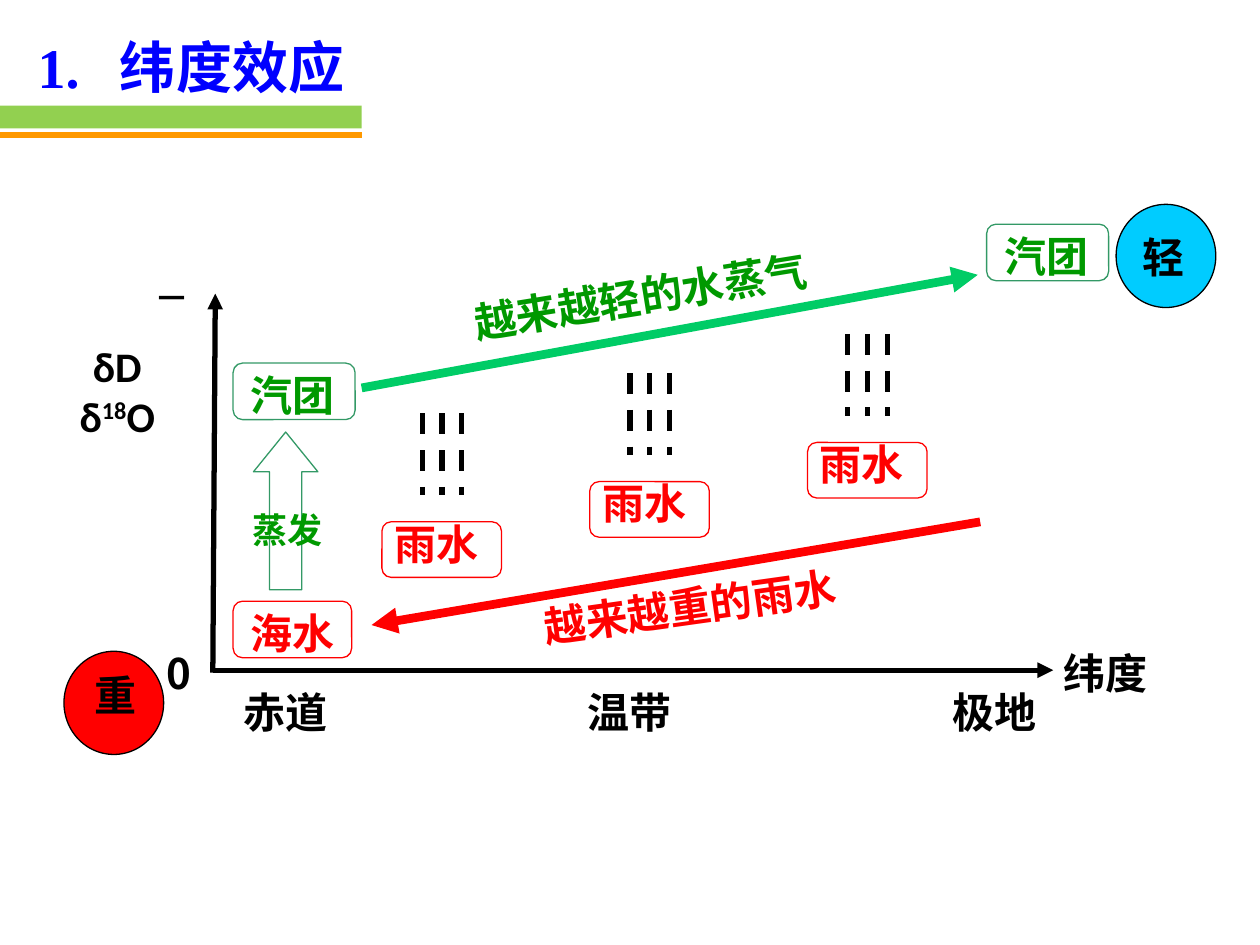
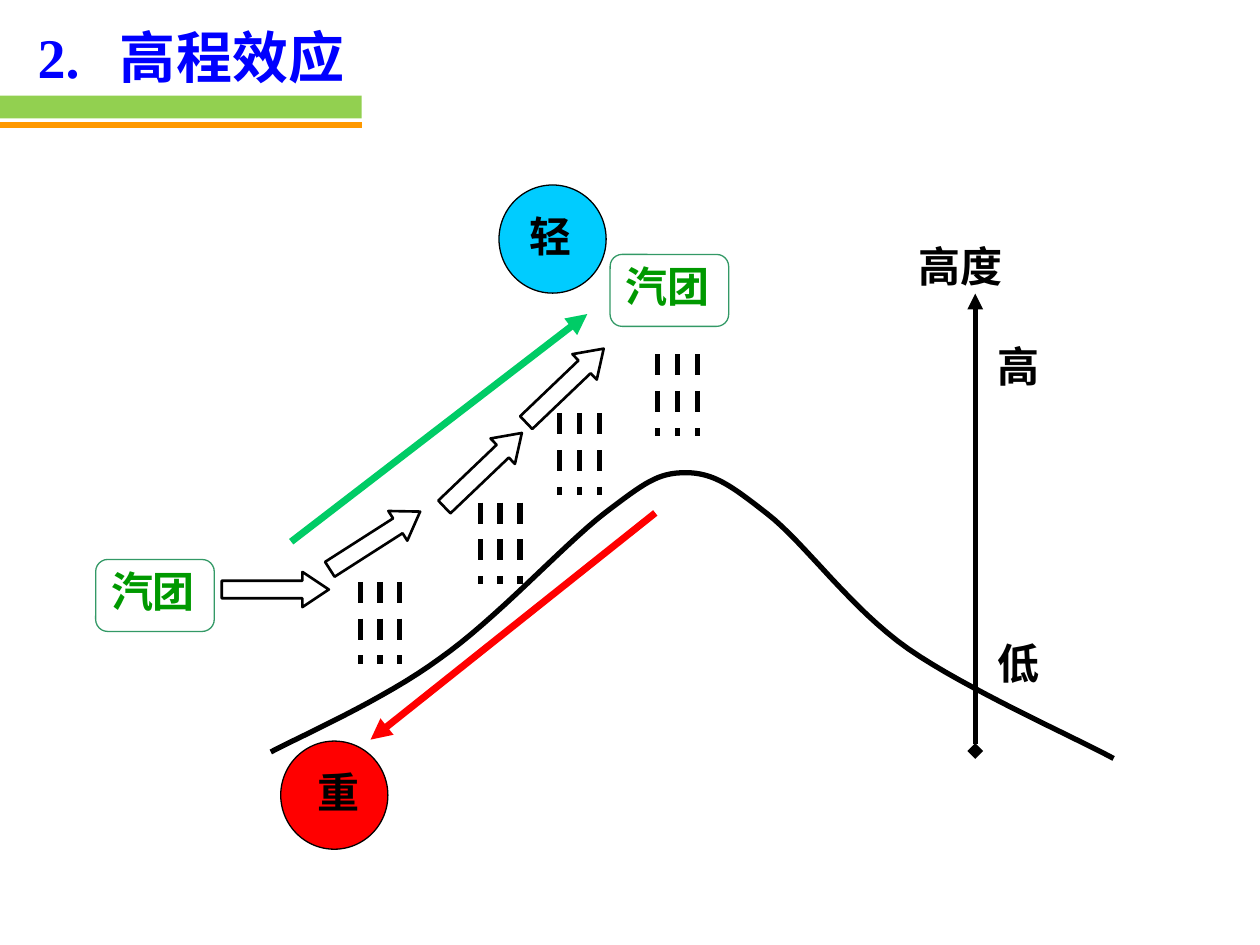
from dataclasses import dataclass

from lxml.etree import SubElement
from pptx import Presentation
from pptx.dml.color import RGBColor
from pptx.enum.dml import MSO_LINE
from pptx.enum.shapes import MSO_CONNECTOR, MSO_SHAPE
from pptx.enum.text import PP_ALIGN
from pptx.oxml.ns import qn
from pptx.util import Cm, Pt


@dataclass(frozen=True)
class Theme:
    black: str = "000000"
    blue: str = "0000FF"
    red: str = "FF0000"
    sky: str = "00CCFF"
    leaf: str = "009900"
    edge: str = "339966"
    flow: str = "00CC66"
    band: str = "92D050"
    rule: str = "FF9900"
    serif: str = "Times New Roman"
    latin: str = "Calibri"
    sans: str = "Noto Sans CJK JP"
    hans: str = "Noto Sans CJK SC"
    head: int = 32
    sign: int = 28
    body: int = 24
    small: int = 20


T = Theme()
LINE = 1.27  # height of a one-line label
LEFT, MID = PP_ALIGN.LEFT, PP_ALIGN.CENTER


@dataclass(frozen=True)
class Box:
    """A region of a slide, in centimetres."""
    slide: object
    x: float
    y: float
    w: float
    h: float

    def spot(self, x, y):
        return Cm(self.x + x), Cm(self.y + y)

    def frame(self, x, y, w, h):
        return *self.spot(x, y), Cm(w), Cm(h)


def style(run, color, size, face):
    font = run.font
    font.name, font.size, font.bold = face, Pt(size), True
    font.color.rgb = RGBColor.from_string(color)
    asian = face if face in (T.sans, T.hans) else T.sans
    SubElement(run._r.get_or_add_rPr(), qn("a:ea")).set("typeface", asian)


def label(box, words, x, y, w, h=LINE, color=T.black, size=T.body,
          face=T.sans, align=MID, turn=0, inset=0.25):
    shape = box.slide.shapes.add_textbox(*box.frame(x, y, w, h))
    shape.rotation = turn
    frame = shape.text_frame
    frame.word_wrap = True
    frame.margin_left = frame.margin_right = Cm(inset)
    frame.text = words
    para = frame.paragraphs[0]
    para.alignment = align
    for run in para.runs:
        style(run, color, size, face)
    return para


def form(box, kind, x, y, w, h, fill=None, edge=None, width=0.75):
    shape = box.slide.shapes.add_shape(kind, *box.frame(x, y, w, h))
    paint(shape, fill, edge, width)
    return shape


def paint(shape, fill, edge, width):
    shape.shadow.inherit = False
    if fill:
        shape.fill.solid()
        shape.fill.fore_color.rgb = RGBColor.from_string(fill)
    else:
        shape.fill.background()
    if edge:
        shape.line.color.rgb = RGBColor.from_string(edge)
        shape.line.width = Pt(width)
    else:
        shape.line.fill.background()


def line(box, start, end, color=T.black, width=3, dash=False, head=None, tail=None):
    """Draw a straight line; head marks its start and tail its end."""
    link = box.slide.shapes.add_connector(
        MSO_CONNECTOR.STRAIGHT, *box.spot(*start), *box.spot(*end))
    link.line.color.rgb = RGBColor.from_string(color)
    link.line.width = Pt(width)
    if dash:
        link.line.dash_style = MSO_LINE.DASH
    props = link._element.spPr
    for tag, mark in (("a:headEnd", head), ("a:tailEnd", tail)):
        if mark:
            SubElement(props.find(qn("a:ln")), qn(tag)).set("type", mark)
    SubElement(props, qn("a:effectLst"))


def arrow(box, start, end, color=T.black, width=3, head=None):
    line(box, start, end, color, width, head=head, tail="triangle")


def ball(box, word, fill, x, y, w, h, dx, dy):
    form(box, MSO_SHAPE.OVAL, x, y, w, h, fill, T.black)
    label(box, word, x + dx, y + dy, 1.6)


def tag(box, word, x, y, w, h, edge, dx, dy, wide, **look):
    """Draw a rounded frame whose label is shifted by dx and dy."""
    label(box, word, x + dx, y + dy, wide, **look)
    form(box, MSO_SHAPE.ROUNDED_RECTANGLE, x, y, w, h, edge=edge)


def rain(box, x, y):
    for step in range(3):
        left = x + 0.4 * step
        line(box, (left, y), (left, y + 1.65), dash=True)


def header(box, number, title):
    para = label(box, f"{number}.\t{title}", 0.51, 0, 8.61, box.h,
                 T.blue, T.head, T.serif, LEFT)
    tabs = SubElement(para._p.get_or_add_pPr(), qn("a:tabLst"))
    stop = SubElement(tabs, qn("a:tab"))
    stop.set("pos", str(Cm(1.66)))
    stop.set("algn", "l")
    form(box, MSO_SHAPE.RECTANGLE, 0, box.h, box.w, 0.46, T.band)
    rule = box.h + 0.59
    line(box, (0, rule), (box.w, rule), T.rule)


def axes(box):
    arrow(box, (0, box.h), (box.w, box.h))
    arrow(box, (0, box.h + 0.05), (0.05, 0))
    label(box, "纬度", 16.61, 7.01, 2.79)
    label(box, "0", -1.19, 7.01, 0.86, align=LEFT)
    label(box, "–", -1.39, -0.79, 1.12, 1.45, size=T.sign, face=T.serif)
    for zone, x in (("赤道", 0), ("温带", 6.95), ("极地", 14.3)):
        label(box, zone, x, 7.8, 2.92)

    para = label(box, "δD\vδ", -3.6, 0.81, 3.35, 2.29, face=T.latin)
    for words, raised in (("18", True), ("O", False)):
        run = para.add_run()
        run.text = words
        style(run, T.black, T.body, T.latin)
        if raised:
            run._r.get_or_add_rPr().set("baseline", "30000")


def latitude(box):
    axes(box)
    tag(box, "海水", 0.41, 6.2, 2.39, 1.14, T.red, 0, 0, 2.39, color=T.red)
    rise = form(box, MSO_SHAPE.UP_ARROW, 0.82, 2.79, 1.3, 3.18, edge=T.edge)
    rise.adjustments[1] = 0.617
    label(box, "蒸发", 0.41, 4.21, 2.18, 1.09, T.leaf, T.small)
    for x, y in ((0.41, 1.4), (15.6, -1.4)):
        tag(box, "汽团", x, y, 2.46, 1.14, T.edge, 0.2, 0, 2.01,
            color=T.leaf, inset=0.05)

    arrow(box, (3, 1.9), (15.42, -0.38), T.flow, 5)
    arrow(box, (15.47, 4.6), (3.2, 6.68), T.red, 5)
    label(box, "越来越重的雨水", 6.4, 5.61, 7.29, color=T.red, align=LEFT, turn=-8)
    label(box, "越来越轻的水蒸气", 4.22, -0.59, 8.81, color=T.leaf, turn=-9.2)

    ball(box, "轻", T.sky, 18.21, -1.8, 2.01, 2.08, 0.16, 0.43)
    ball(box, "重", T.red, -3, 7.21, 2.01, 2.08, 0.23, 0.25)
    for x, y in ((4.22, 2.41), (8.41, 1.6), (12.8, 0.81)):
        rain(box, x, y)
        tag(box, "雨水", x - 0.81, y + 2.19, 2.41, 1.12, T.red, 0, -0.2, 2.24,
            color=T.red, align=LEFT)


def curve(knots, steps=16):
    """Yield points along joined cubic Bezier curves after the first knot."""
    for first in range(0, len(knots) - 1, 3):
        a, b, c, d = knots[first:first + 4]
        for step in range(1, steps + 1):
            t = step / steps
            u = 1 - t
            yield tuple(u**3 * p + 3 * u * u * t * q + 3 * u * t * t * r + t**3 * s
                        for p, q, r, s in zip(a, b, c, d))


def ridge(box):
    knots = [(3.76, 11.43), (4.32, 11.13), (6.05, 10.37), (7.16, 9.55),
             (8.28, 8.77), (9.65, 7.27), (10.47, 6.63),
             (11.3, 6), (11.56, 5.8), (12.12, 5.8),
             (12.68, 5.8), (13.03, 6.05), (13.77, 6.63),
             (14.53, 7.22), (15.45, 8.54), (16.61, 9.35),
             (17.78, 10.16), (19.89, 11.1), (20.75, 11.56)]
    pen = box.slide.shapes.build_freeform(*box.spot(*knots[0]))
    pen.add_line_segments([box.spot(*point) for point in curve(knots)], close=False)
    paint(pen.convert_to_shape(), None, T.black, 3)


def height(box):
    ridge(box)
    for x, y in ((0.23, 7.55), (10.6, 1.4)):
        tag(box, "汽团", x, y, 2.39, 1.45, T.edge, -0.23, 0, 2.77,
            color=T.leaf, face=T.hans)
    for x, y, turn in ((2.77, 7.8, 0), (4.78, 6.81, -32.6),
                       (6.96, 5.39, -43.7), (8.61, 3.69, -43.7)):
        climb = form(box, MSO_SHAPE.RIGHT_ARROW, x, y, 2.16, 0.71,
                     edge=T.black, width=1.5)
        climb.adjustments[1] = 0.75
        climb.rotation = turn

    arrow(box, (4.17, 7.19), (10.14, 2.6), T.flow, 4)
    arrow(box, (11.51, 6.61), (5.77, 11.18), T.red, 4)
    arrow(box, (17.96, 11.41), (17.96, 2.19), head="diamond")
    label(box, "高度", 16.36, 0.99, 2.59)
    for word, y in (("高", 3), ("低", 9)):
        label(box, word, 18.16, y, 1.6, align=LEFT)

    ball(box, "轻", T.sky, 8.36, 0, 2.16, 2.18, 0.23, 0.38)
    ball(box, "重", T.red, 3.96, 11.21, 2.16, 2.18, 0.36, 0.38)
    for x, y in ((5.56, 8), (7.98, 6.4), (9.58, 4.6), (11.56, 3.41)):
        rain(box, x, y)


def main():
    deck = Presentation()
    deck.slide_width, deck.slide_height = Cm(25.4), Cm(19.05)
    pages = (("纬度效应", 0.53, latitude, (4.29, 5.92, 16.94, 7.59)),
             ("高程效应", 0.33, height, (1.7, 3.73, 20.75, 13.39)))
    for number, (title, top, draw, area) in enumerate(pages, 1):
        slide = deck.slides.add_slide(deck.slide_layouts[6])
        header(Box(slide, 0, top, 7.29, 1.6), number, title)
        draw(Box(slide, *area))
    deck.save("out.pptx")


if __name__ == "__main__":
    main()
